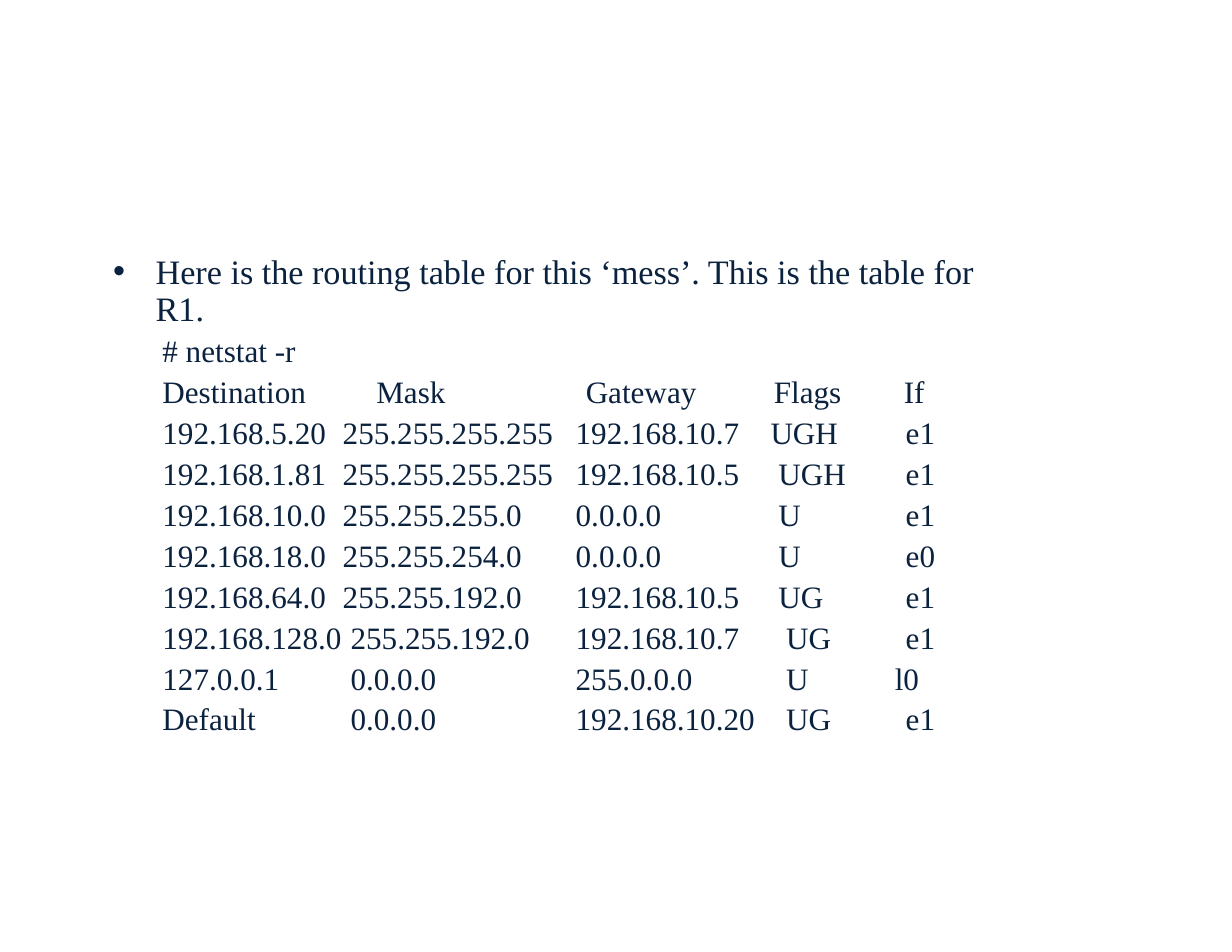
import pptx
import pptx.dml.color
import pptx.enum.text
import pptx.oxml.ns
import pptx.util
from lxml import etree

# Content
INTRO = "Here is the routing table for this ‘mess’. This is the table for R1."
COMMAND = "# netstat -r"
HEADINGS = ["Destination", "Mask", "Gateway", "Flags", "If"]
ROUTES = [
    ("192.168.5.20", "255.255.255.255", "192.168.10.7", "UGH", "e1"),
    ("192.168.1.81", "255.255.255.255", "192.168.10.5", "UGH", "e1"),
    ("192.168.10.0", "255.255.255.0", "0.0.0.0", "U", "e1"),
    ("192.168.18.0", "255.255.254.0", "0.0.0.0", "U", "e0"),
    ("192.168.64.0", "255.255.192.0", "192.168.10.5", "UG", "e1"),
    ("192.168.128.0", "255.255.192.0", "192.168.10.7", "UG", "e1"),
    ("127.0.0.1", "0.0.0.0", "255.0.0.0", "U", "l0"),
    ("Default", "0.0.0.0", "192.168.10.20", "UG", "e1"),
]

# Theme and grid, lengths in inches
THEME = {"font": "Times New Roman", "ink": "0B223F", "intro": 22, "body": 20}
SLIDE = (11, 8.5)
INTRO_BOX = (1, 2.22, 7.72, 1.09)
TABLE_BOX = (1.42, 3.36, 6.93, 3.24)
COLUMNS = (1.64, 1.98, 1.77, 0.96, 0.58)
EDGE_ROW = 0.34
STEP = 0.07  # one character of indent
HEADING_INDENTS = (0.03, 0.3, 0.19, 0.1, 0.3)
MASK_STEPS = (0, 0, 0, 0, 0, 1, 1, 1)
FLAG_STEPS = (1, 2, 2, 2, 2, 3, 3, 3)

Inches, Pt = pptx.util.Inches, pptx.util.Pt
ALIGN = pptx.enum.text.PP_ALIGN


def write(paragraph, text, size=THEME["body"], left=0, hanging=0, bullet=None,
          line=1.0, before=0, align=ALIGN.LEFT):
    properties = paragraph._p.get_or_add_pPr()
    properties.set("marL", str(Inches(left)))
    properties.set("indent", str(Inches(-hanging)))
    tag = "a:buChar" if bullet else "a:buNone"
    mark = etree.SubElement(properties, pptx.oxml.ns.qn(tag))
    if bullet:
        mark.set("char", bullet)
    paragraph.alignment = align
    paragraph.line_spacing = line
    paragraph.space_before = Pt(before)
    run = paragraph.add_run()
    run.text = text
    run.font.name = THEME["font"]
    run.font.size = Pt(size)
    run.font.color.rgb = pptx.dml.color.RGBColor.from_string(THEME["ink"])


def add_intro(slide):
    body = slide.placeholders[1]
    body.left, body.top, body.width, body.height = map(Inches, INTRO_BOX)
    frame = body.text_frame
    frame.word_wrap = True
    frame.auto_size = pptx.enum.text.MSO_AUTO_SIZE.SHAPE_TO_FIT_TEXT
    frame.margin_left = frame.margin_right = frame.margin_bottom = 0
    frame.margin_top = Inches(0.05)
    write(frame.paragraphs[0], INTRO, size=THEME["intro"], left=0.39,
          hanging=0.38, bullet="•", line=Pt(23.8))
    write(frame.add_paragraph(), COMMAND, left=0.45, before=2.1)


def add_routes(slide):
    rows = [HEADINGS, *ROUTES]
    indents = [HEADING_INDENTS] + [
        (0.03, mask * STEP, 0.1, flag * STEP, 0)
        for mask, flag in zip(MASK_STEPS, FLAG_STEPS)]
    last = len(rows) - 1
    middle_row = (TABLE_BOX[3] - 2 * EDGE_ROW) / (last - 1)

    table = slide.shapes.add_table(
        len(rows), len(COLUMNS), *map(Inches, TABLE_BOX)).table
    table.first_row = table.horz_banding = False
    for column, width in zip(table.columns, COLUMNS):
        column.width = Inches(width)

    for r, values in enumerate(rows):
        table.rows[r].height = Inches(EDGE_ROW if r in (0, last) else middle_row)
        line = Pt({0: 21.8, last: 23.2}.get(r, 23.9))
        for c, value in enumerate(values):
            cell = table.cell(r, c)
            cell.fill.background()
            cell.margin_left = cell.margin_right = 0
            cell.margin_top = cell.margin_bottom = 0
            # Interfaces sit at the right edge, except the loopback
            loopback = value == "l0"
            at_right = r > 0 and c == len(COLUMNS) - 1 and not loopback
            write(cell.text_frame.paragraphs[0], value, line=line,
                  left=0.22 if loopback else indents[r][c],
                  align=ALIGN.RIGHT if at_right else ALIGN.LEFT)


def main():
    deck = pptx.Presentation()
    deck.slide_width, deck.slide_height = map(Inches, SLIDE)
    slide = deck.slides.add_slide(deck.slide_layouts[1])
    title = slide.shapes.title.element
    title.getparent().remove(title)
    add_intro(slide)
    add_routes(slide)
    deck.save("out.pptx")


if __name__ == "__main__":
    main()
